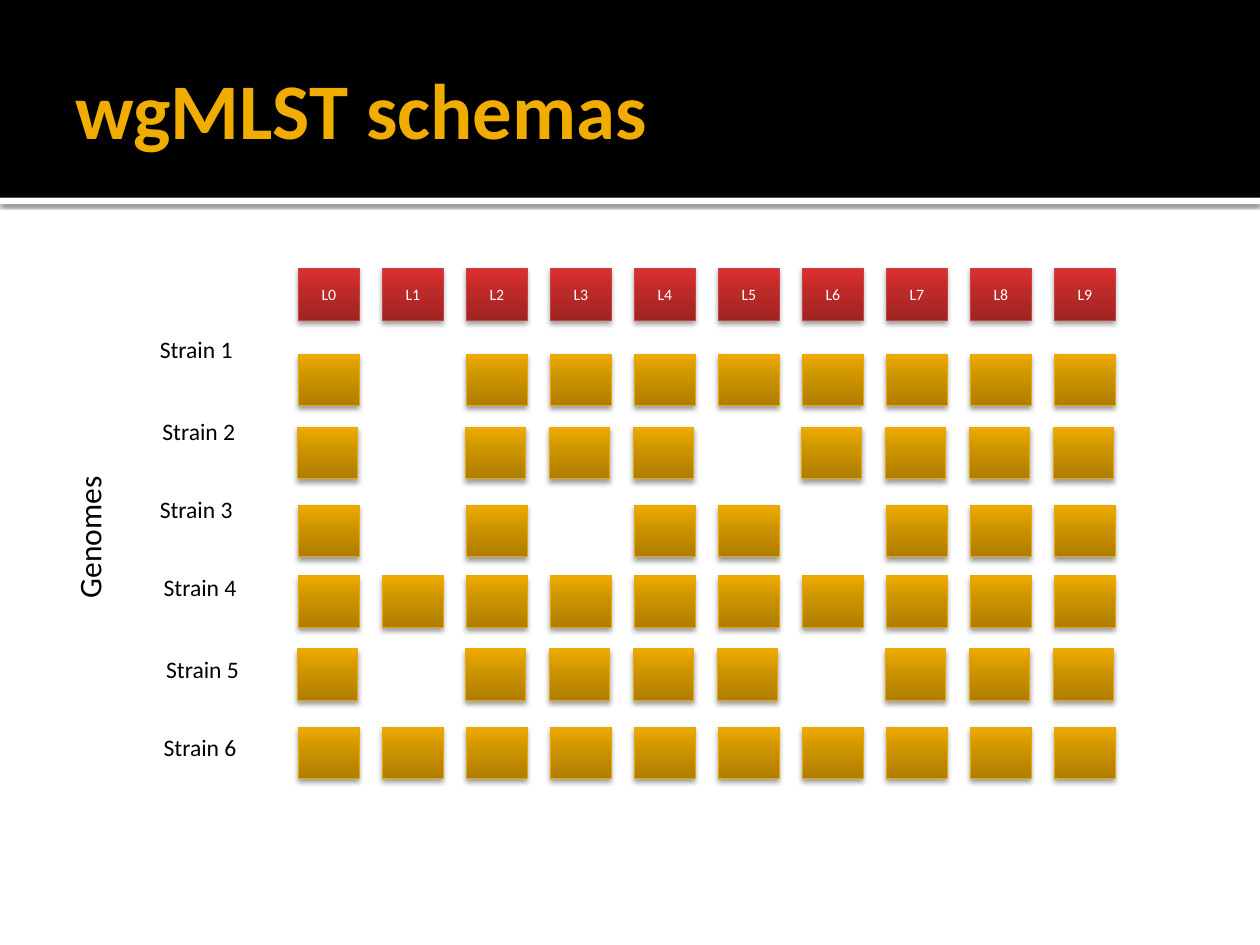
"""Build the wgMLST schemas slide: loci across the top, one row of tiles per strain."""
from copy import deepcopy
from dataclasses import dataclass

from lxml import etree
from pptx import Presentation
from pptx.dml.color import RGBColor
from pptx.enum.shapes import MSO_SHAPE
from pptx.enum.text import MSO_ANCHOR, PP_ALIGN
from pptx.oxml.ns import qn
from pptx.util import Inches, Pt

RECT = MSO_SHAPE.RECTANGLE
TOP, MIDDLE = MSO_ANCHOR.TOP, MSO_ANCHOR.MIDDLE
LEFT, CENTER = PP_ALIGN.LEFT, PP_ALIGN.CENTER

FONT = "Calibri"
COLORS = {"black": "000000", "white": "FFFFFF", "title": "F0AD00"}
LOCI = 10
PITCH = 2 / 3
TILE_W, TILE_H = 0.48, 0.41


@dataclass(frozen=True)
class Style:
    ramp: tuple[str, str, str]
    line: str


@dataclass(frozen=True)
class Strain:
    name: str
    label_x: float
    label_y: float
    tile_x: float
    tile_y: float
    loci: str


@dataclass(frozen=True)
class Shade:
    alpha: int
    blur: float
    gap: float


STYLES = {
    "locus": Style(("A02322", "BC2A28", "DC302F"), "C54342"),
    "gene": Style(("AE7D00", "CC9300", "EEAB00"), "EBA900"),
}
STRAINS = (
    Strain("Strain 1", 1.17, 2.61, 2.37, 2.81, "023456789"),
    Strain("Strain 2", 1.19, 3.26, 2.36, 3.39, "02346789"),
    Strain("Strain 3", 1.17, 3.88, 2.37, 4.01, "0245789"),
    Strain("Strain 4", 1.2, 4.5, 2.37, 4.57, "0123456789"),
    Strain("Strain 5", 1.22, 5.15, 2.36, 5.15, "02345789"),
    Strain("Strain 6", 1.2, 5.77, 2.37, 5.77, "0123456789"),
)
TILE_SHADE = Shade(38, 3.1, 2)
RULE_SHADE = Shade(60, 2.5, 0.8)


def tint(name: str) -> RGBColor:
    """Return a colour by its name or hex value."""
    return RGBColor.from_string(COLORS.get(name, name))


def write(shape, text: str, *, size: float, color: str = "black", bold: bool = False,
          align=LEFT, anchor=TOP, right: float = 0.1) -> None:
    """Put one formatted line of text in a shape."""
    frame = shape.text_frame
    frame.word_wrap = True
    frame.vertical_anchor = anchor
    frame.margin_left, frame.margin_right = Inches(0.1), Inches(right)
    frame.margin_top = frame.margin_bottom = Inches(0.05)
    line = frame.paragraphs[0]
    line.alignment = align
    run = line.add_run()
    run.text = text
    run.font.name, run.font.size, run.font.bold = FONT, Pt(size), bold
    run.font.color.rgb = tint(color)


def label(slide, text: str, x: float, y: float, w: float, h: float, **form):
    """Add a text box holding one line."""
    box = slide.shapes.add_textbox(Inches(x), Inches(y), Inches(w), Inches(h))
    write(box, text, **form)
    return box


def cast(shape, shade: Shade) -> None:
    """Give a shape a soft shadow that falls straight down."""
    effects = shape._element.spPr.find(qn("a:effectLst"))
    outer = etree.SubElement(effects, qn("a:outerShdw"), blurRad=str(Pt(shade.blur)),
                             dist=str(Pt(shade.gap)), dir="5400000",
                             algn="t", rotWithShape="0")
    color = etree.SubElement(outer, qn("a:srgbClr"), val=COLORS["black"])
    etree.SubElement(color, qn("a:alpha"), val=str(shade.alpha * 1000))


def block(slide, x: float, y: float, w: float, h: float):
    """Add a rectangle with no shadow."""
    shape = slide.shapes.add_shape(RECT, Inches(x), Inches(y), Inches(w), Inches(h))
    shape.shadow.inherit = False
    return shape


def band(slide, y: float, h: float, color: str):
    """Add a plain strip across the slide."""
    shape = block(slide, 0, y, 10, h)
    shape.fill.solid()
    shape.fill.fore_color.rgb = tint(color)
    shape.line.fill.background()
    return shape


def tile(slide, x: float, y: float, style: Style):
    """Add a shaded tile with a three-stop gradient."""
    shape = block(slide, x, y, TILE_W, TILE_H)
    fill = shape.fill
    fill.gradient()
    fill.gradient_angle = 90
    first = shape._element.spPr.find(".//" + qn("a:gs"))
    first.addnext(deepcopy(first))
    for stop, color, place in zip(fill.gradient_stops, style.ramp, (0, 0.55, 1)):
        stop.color.rgb = tint(color)
        stop.position = place
    shape.line.color.rgb = tint(style.line)
    shape.line.width = Pt(0.5)
    cast(shape, TILE_SHADE)
    return shape


def main() -> None:
    """Draw the slide and save it."""
    deck = Presentation()
    deck.slide_width, deck.slide_height = Inches(10), Inches(7.5)
    slide = deck.slides.add_slide(deck.slide_layouts[6])

    cast(band(slide, 1.57, 0.05, "white"), RULE_SHADE)
    band(slide, 0, 1.57, "black")
    label(slide, "wgMLST schemas", 0.5, 0.17, 9, 1.37, size=45, color="title",
          bold=True, anchor=MIDDLE, right=0.05)

    for strain in STRAINS:
        label(slide, strain.name, strain.label_x, strain.label_y, 1.15, 0.52, size=13.5)
        for locus in strain.loci:
            tile(slide, strain.tile_x + int(locus) * PITCH, strain.tile_y, STYLES["gene"])

    for locus in range(LOCI):
        head = tile(slide, 2.37 + locus * PITCH, 2.13, STYLES["locus"])
        write(head, f"L{locus}", size=9, color="white", align=CENTER, anchor=MIDDLE)

    side = label(slide, "Genomes", 0.08, 4.02, 1.25, 0.4, size=18)
    side.rotation = 270
    deck.save("out.pptx")


if __name__ == "__main__":
    main()
